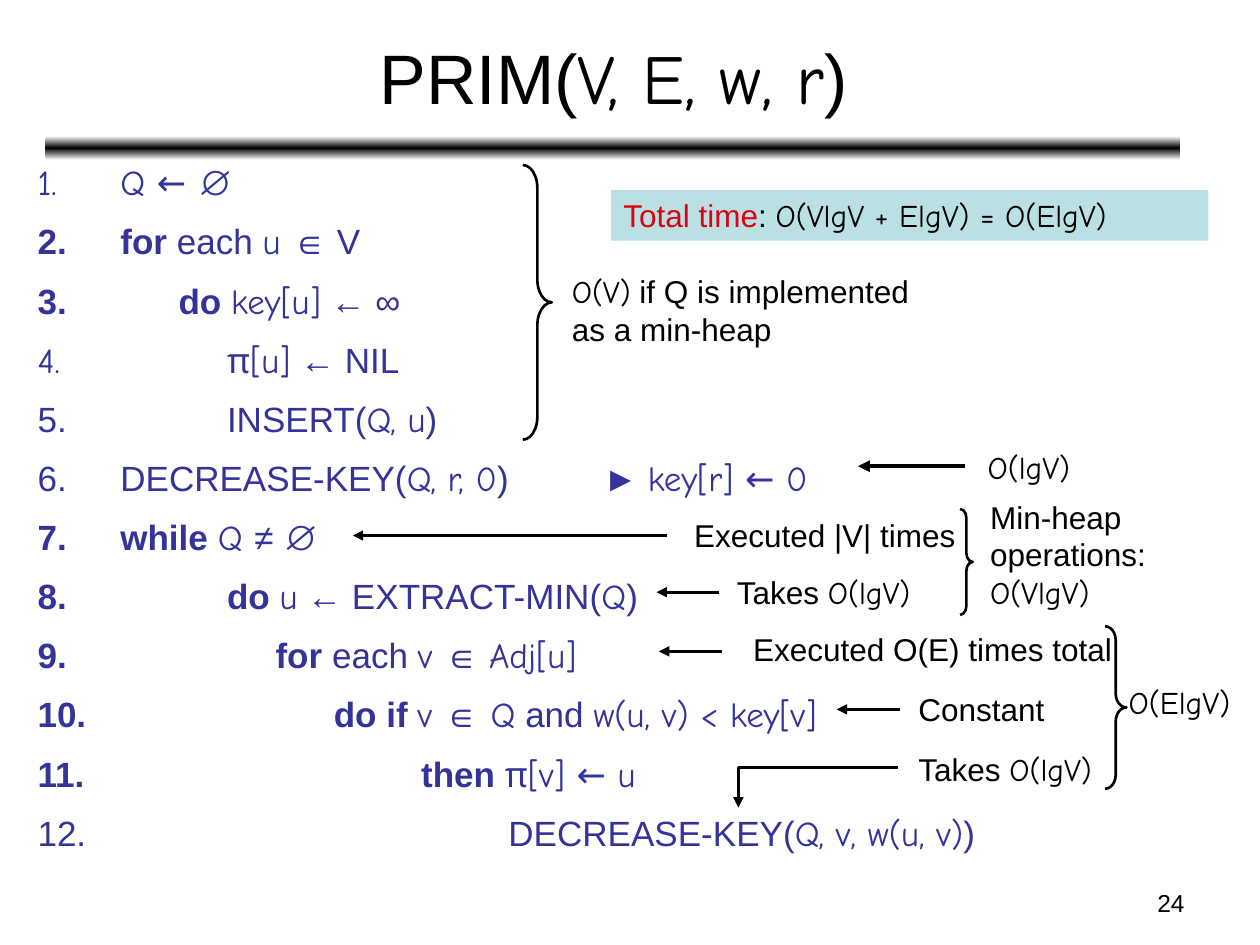
"""Build a slide of Prim's algorithm with the running time of each step."""
from copy import deepcopy

from pptx import Presentation
from pptx.dml.color import RGBColor
from pptx.enum.shapes import MSO_CONNECTOR, MSO_SHAPE
from pptx.enum.text import MSO_ANCHOR, PP_ALIGN
from pptx.oxml.ns import qn
from pptx.util import Inches, Pt

BAR, RECT, BRACE = MSO_SHAPE.ROUNDED_RECTANGLE, MSO_SHAPE.RECTANGLE, MSO_SHAPE.RIGHT_BRACE
LINE = MSO_CONNECTOR.STRAIGHT
LEFT, CENTER, RIGHT = PP_ALIGN.LEFT, PP_ALIGN.CENTER, PP_ALIGN.RIGHT
MIDDLE = MSO_ANCHOR.MIDDLE
HEX = {"black": "000000", "white": "FFFFFF", "code": "333399", "red": "DD0111", "note": "BBE0E3"}
COLOR = {name: RGBColor.from_string(code) for name, code in HEX.items()}
FONT = {"plain": "Arial", "bold": "Arial", "math": "Comic Neue", "red": "Arial"}
SPACE = 0.077


def write(para, parts, size, color="black"):
    for text, style in parts:
        run = para.add_run()
        run.text = text
        run.font.name = FONT[style]
        run.font.size = Pt(size)
        run.font.bold = style == "bold"
        run.font.color.rgb = COLOR["red" if style == "red" else color]


def frame(x, y, w, h):
    box = slide.shapes.add_textbox(Inches(x), Inches(y), Inches(w), Inches(h))
    box.text_frame.word_wrap = True
    return box


prs = Presentation()
prs.slide_width, prs.slide_height = Inches(10), Inches(7.5)
slide = prs.slides.add_slide(prs.slide_layouts[6])

bar = slide.shapes.add_shape(BAR, Inches(0.36), Inches(1.08), Inches(9.01), Inches(0.19))
bar.shadow.inherit = False
bar.line.fill.background()
bar.fill.gradient()
bar.fill.gradient_angle = 90
stops = bar._element.spPr.find(".//" + qn("a:gsLst"))
stops.append(deepcopy(stops[0]))
for stop, (place, name) in zip(bar.fill.gradient_stops, [(0, "white"), (0.5, "black"), (1, "white")]):
    stop.position = place
    stop.color.rgb = COLOR[name]

title = frame(0.37, 0.11, 9, 0.99).text_frame
title.vertical_anchor = MIDDLE
title.paragraphs[0].alignment = CENTER
write(title.paragraphs[0], [("PRIM(", "plain"), ("V, E, w, r", "math"), (")", "plain")], 40)

STEPS = [
    (1, [("Q ← ", "math"), ("∅", "plain")]),
    (1, [("for ", "bold"), ("each ", "plain"), ("u ", "math"), ("∈ V", "plain")]),
    (7, [("do ", "bold"), ("key[u]", "math"), (" ← ∞", "plain")]),
    (12, [("π[u]", "math"), (" ← NIL", "plain")]),
    (12, [("INSERT(", "plain"), ("Q, u", "math"), (")", "plain")]),
    (1, [("DECREASE-KEY(", "plain"), ("Q, r, 0", "math"), (")\t► ", "plain"), ("key[r] ← 0", "math")]),
    (1, [("while ", "bold"), ("Q ", "math"), ("≠ ∅", "plain")]),
    (12, [("do ", "bold"), ("u", "math"), (" ← EXTRACT-MIN(", "plain"), ("Q", "math"), (")", "plain")]),
    (17, [("for ", "bold"), ("each ", "plain"), ("v ", "math"), ("∈ ", "plain"), ("Adj[u]", "math")]),
    (23, [("do if ", "bold"), ("v ", "math"), ("∈", "plain"), (" Q", "math"), (" and ", "plain"),
          ("w(u, v) < key[v]", "math")]),
    (32, [("then ", "bold"), ("π[v] ← u", "math")]),
    (41, [("DECREASE-KEY(", "plain"), ("Q, v, w(u, v)", "math"), (")", "plain")]),
]
code = frame(0.2, 1.16, 9.27, 6.12).text_frame
for row, (depth, parts) in enumerate(STEPS):
    para = code.add_paragraph() if row else code.paragraphs[0]
    para.line_spacing = 1.2
    para.space_before = Pt(5 if row else 0)
    props = para._p.get_or_add_pPr()
    inset = Inches(0.58 + depth * SPACE)
    props.set("marL", str(inset))
    props.set("indent", str(-inset))
    props.makeelement
    num = props.makeelement(qn("a:buAutoNum"), {"type": "arabicPeriod"})
    props.append(num)
    if "\t" in "".join(text for text, style in parts):
        tabs = props.makeelement(qn("a:tabLst"), {})
        tabs.append(tabs.makeelement(qn("a:tab"), {"pos": str(Inches(4.49)), "algn": "l"}))
        props.append(tabs)
    write(para, parts, 20, "code")

for x, y, w, h, curve in [(4.15, 1.31, 0.23, 2.18, 0.79), (7.62, 4.04, 0.1, 0.84, 0.7),
                          (8.77, 4.97, 0.17, 1.29, 0.65)]:
    brace = slide.shapes.add_shape(BRACE, Inches(x), Inches(y), Inches(w), Inches(h))
    brace.adjustments[0] = curve
    brace.shadow.inherit = False
    brace.fill.background()
    brace.line.color.rgb = COLOR["black"]
    brace.line.width = Pt(1.5)

total = slide.shapes.add_shape(RECT, Inches(4.85), Inches(1.51), Inches(4.74), Inches(0.4))
total.shadow.inherit = False
total.fill.solid()
total.fill.fore_color.rgb = COLOR["note"]
total.line.fill.background()
total.text_frame.paragraphs[0].alignment = LEFT
write(total.text_frame.paragraphs[0],
      [("Total time", "red"), (": ", "plain"), ("O(VlgV + ElgV) = O(ElgV)", "math")], 18)

TAKES = [[("Takes ", "plain"), ("O(lgV)", "math")]]
NOTES = [
    (4.44, 2.11, 3.14, 0.7, [[("O(V)", "math"), (" if Q is implemented as a min-heap", "plain")]]),
    (7.74, 3.51, 1.2, 0.4, [[("O(lgV)", "math")]]),
    (5.41, 4.05, 2.35, 0.4, [[("Executed |V| times", "plain")]]),
    (7.76, 3.9, 1.8, 1, [[("Min-heap operations:", "plain")], [("O(VlgV)", "math")]]),
    (5.75, 4.5, 1.78, 0.4, TAKES),
    (5.88, 4.95, 3.06, 0.4, [[("Executed O(E) times total", "plain")]]),
    (7.19, 5.43, 1.28, 0.4, [[("Constant", "plain")]]),
    (7.19, 5.9, 1.78, 0.4, TAKES),
    (8.86, 5.37, 1.14, 0.4, [[("O(ElgV)", "math")]]),
]
for x, y, w, h, lines in NOTES:
    note = frame(x, y, w, h).text_frame
    for row, parts in enumerate(lines):
        write(note.add_paragraph() if row else note.paragraphs[0], parts, 18)

for x1, y1, x2, y2, width, head in [
    (7.66, 3.7, 6.81, 3.7, 2.25, True),
    (5.29, 4.25, 2.8, 4.25, 1.5, True),
    (5.71, 4.7, 5.21, 4.7, 1.5, True),
    (5.73, 5.17, 5.23, 5.17, 1.5, True),
    (7.14, 5.63, 6.64, 5.63, 1.5, True),
    (5.86, 6.09, 7.13, 6.09, 1.5, False),
    (5.86, 6.09, 5.86, 6.41, 1.5, True),
]:
    arrow = slide.shapes.add_connector(LINE, Inches(x1), Inches(y1), Inches(x2), Inches(y2))
    arrow.line.color.rgb = COLOR["black"]
    arrow.line.width = Pt(width)
    props = arrow._element.spPr
    if head:
        ln = props.find(qn("a:ln"))
        ln.append(ln.makeelement(qn("a:tailEnd"), {"type": "triangle"}))
    props.append(props.makeelement(qn("a:effectLst"), {}))

page = frame(7.17, 7, 2.33, 0.35).text_frame
page.paragraphs[0].alignment = RIGHT
write(page.paragraphs[0], [("24", "plain")], 14)

prs.save("out.pptx")
